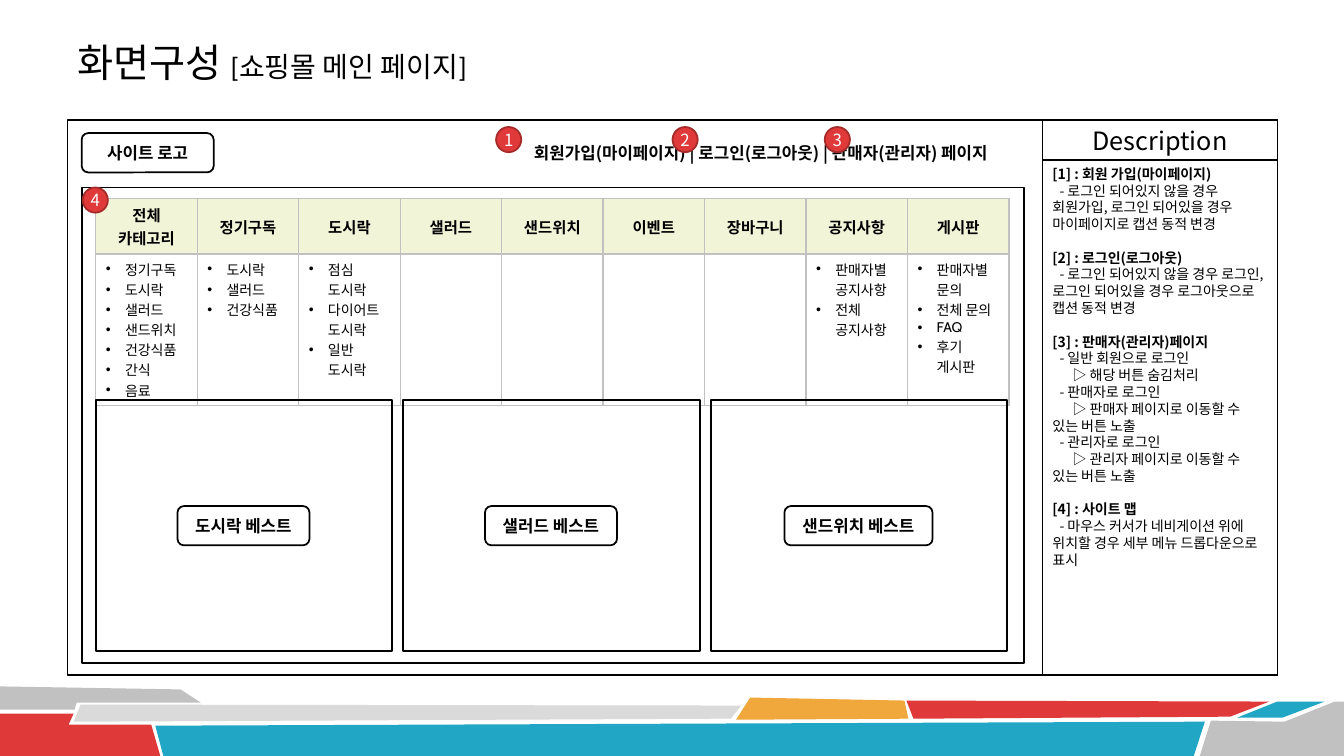
import pptx
import pptx.dml.color
import pptx.enum.shapes
import pptx.enum.text
import pptx.oxml
import pptx.oxml.ns
import pptx.util
from pptx.util import Inches

SHAPES = pptx.enum.shapes.MSO_SHAPE
ALIGN = pptx.enum.text.PP_ALIGN
ANCHOR = pptx.enum.text.MSO_ANCHOR
KOREAN = "Noto Sans CJK KR"
BLACK, WHITE, RED, BLUE, GREY = "000000", "FFFFFF", "DF3939", "21A6C5", "C1C1C1"


def color(value):
    return pptx.dml.color.RGBColor.from_string(value)


def element(xml):
    return pptx.oxml.parse_xml(xml.replace(" ", f' {pptx.oxml.ns.nsdecls("a")} ', 1))


class Wireframe:
    """Draws the wireframe elements on one slide in a shared style."""

    def __init__(self, slide):
        self.slide = slide

    def format_run(self, run, size, bold=False, ink=BLACK, font=KOREAN):
        run.font.size = pptx.util.Pt(size)
        run.font.bold = bold
        run.font.name = font
        run.font.color.rgb = color(ink)
        run.font._element.find(pptx.oxml.ns.qn("a:latin")).addnext(
            element(f'<a:ea typeface="{KOREAN}"/>'))

    def paint(self, shape, fill, line):
        shape.shadow.inherit = False
        if fill:
            shape.fill.solid()
            shape.fill.fore_color.rgb = color(fill)
        else:
            shape.fill.background()
        if line:
            shape.line.color.rgb = color(line)
            shape.line.width = pptx.util.Pt(1.25)
        else:
            shape.line.fill.background()

    def title(self, heading, subtitle):
        title = self.slide.shapes.title
        title.left, title.top = Inches(0.67), Inches(0.31)
        title.width, title.height = Inches(12), Inches(0.61)
        frame = title.text_frame
        frame.auto_size = pptx.enum.text.MSO_AUTO_SIZE.NONE
        frame.vertical_anchor = ANCHOR.MIDDLE
        paragraph = frame.paragraphs[0]
        paragraph.alignment = ALIGN.LEFT
        for text, size in ((heading, 28), (subtitle, 20)):
            run = paragraph.add_run()
            run.text = text
            self.format_run(run, size, font="Calibri")

    def polygon(self, points, fill):
        builder = self.slide.shapes.build_freeform(*map(Inches, points[0]), scale=1.0)
        builder.add_line_segments([(Inches(x), Inches(y)) for x, y in points[1:]])
        self.paint(builder.convert_to_shape(), fill, None)

    def box(self, kind, left, top, width, height, text="", fill=None, line=BLACK,
            size=12, bold=True, ink=BLACK):
        shape = self.slide.shapes.add_shape(
            kind, Inches(left), Inches(top), Inches(width), Inches(height))
        self.paint(shape, fill, line)
        if text:
            frame = shape.text_frame
            frame.text = text
            frame.word_wrap = False
            frame.vertical_anchor = ANCHOR.MIDDLE
            frame.paragraphs[0].alignment = ALIGN.CENTER
            self.format_run(frame.paragraphs[0].runs[0], size, bold, ink)
        return shape

    def label(self, left, top, width, text, line=BLACK):
        self.box(SHAPES.ROUNDED_RECTANGLE, left, top, width, 0.39, text, WHITE, line)

    def badge(self, left, top, number):
        shape = self.box(SHAPES.OVAL, left, top, 0.25, 0.25, str(number), RED, "A52A2A",
                         bold=False, ink=WHITE)
        frame = shape.text_frame
        frame.margin_left = frame.margin_right = frame.margin_top = frame.margin_bottom = 0

    def description(self, left, top, width, height, sections):
        frame = self.box(SHAPES.RECTANGLE, left, top, width, height).text_frame
        frame.word_wrap = True
        frame.vertical_anchor = ANCHOR.TOP
        lines = [line for section in sections for line in section]
        frame.text = "\n".join(lines)
        for index, paragraph in enumerate(frame.paragraphs):
            text = paragraph.text
            heading = text.startswith("[")
            paragraph.alignment = ALIGN.LEFT
            paragraph.line_spacing = pptx.util.Pt(12)
            paragraph.space_before = pptx.util.Pt(12 if heading and index else 0)
            indent = 0 if heading else 0.2 if text.startswith("▷") else 0.07
            paragraph._p.get_or_add_pPr().set("indent", str(Inches(indent)))
            self.format_run(paragraph.runs[0], 10, heading)

    def border(self, cell, edges):
        properties = cell._tc.get_or_add_tcPr()
        for index, (edge, points) in enumerate(edges.items()):
            properties.insert(index, element(
                f'<a:{edge} w="{pptx.util.Pt(points)}"><a:solidFill>'
                f'<a:srgbClr val="{GREY}"/></a:solidFill></a:{edge}>'))

    def bullet(self, paragraph):
        properties = paragraph._p.get_or_add_pPr()
        properties.set("marL", str(Inches(0.19)))
        properties.set("indent", str(Inches(-0.19)))
        properties.append(element('<a:buFont typeface="Arial"/>'))
        properties.append(element('<a:buChar char="•"/>'))

    def menu(self, left, top, width, heights, columns):
        table = self.slide.shapes.add_table(
            2, len(columns), Inches(left), Inches(top), Inches(width),
            Inches(sum(heights))).table
        table.first_row = table.horz_banding = False
        for row, height in zip(table.rows, heights):
            row.height = Inches(height)
        for index, (heading, items) in enumerate(columns):
            table.columns[index].width = Inches(width / len(columns))
            header, body = table.cell(0, index), table.cell(1, index)
            header.fill.solid()
            header.fill.fore_color.rgb = color("F2F4D7")
            header.vertical_anchor = ANCHOR.MIDDLE
            header.text_frame.text = heading
            for paragraph in header.text_frame.paragraphs:
                paragraph.alignment = ALIGN.CENTER
                self.format_run(paragraph.runs[0], 11, True, font="Cabin")
            self.border(header, {"lnL": 1, "lnR": 1, "lnT": 1, "lnB": 2})
            body.fill.background()
            self.border(body, {"lnL": 1, "lnR": 1, "lnT": 2, "lnB": 1})
            if items:
                body.text_frame.text = "\n".join(items)
                for paragraph in body.text_frame.paragraphs:
                    self.bullet(paragraph)
                    self.format_run(paragraph.runs[0], 10, font="Cabin")


RIBBONS = [
    (GREY, [(0, 6.81), (1.79, 6.84), (1.99, 6.97), (0.76, 6.97), (0.74, 7.04), (0, 7.04)]),
    (RED, [(0, 7.08), (0.73, 7.08), (0.68, 7.19), (1.5, 7.19), (1.59, 7.5), (0, 7.5)]),
    ("DADADA", [(0.8, 6.99), (7.35, 7), (7.25, 7.13), (0.73, 7.16)]),
    (BLUE, [(1.54, 7.2), (11.95, 7.16), (11.84, 7.5), (1.62, 7.5)]),
    ("F0A73C", [(7.44, 6.92), (8.97, 6.95), (9.01, 7.13), (7.3, 7.14)]),
    (RED, [(8.99, 6.95), (12.59, 6.96), (12.2, 7.11), (9.06, 7.13)]),
    (BLUE, [(12.67, 6.96), (13.14, 6.96), (12.72, 7.12), (12.27, 7.12)]),
    (GREY, [(12.01, 7.15), (12.74, 7.16), (13.24, 6.96), (13.33, 6.96), (13.33, 7.5),
            (11.9, 7.5)]),
]
DESCRIPTION = [
    ["[1] : 회원 가입(마이페이지)",
     "- 로그인 되어있지 않을 경우 회원가입, 로그인 되어있을 경우 마이페이지로 캡션 동적 변경"],
    ["[2] : 로그인(로그아웃)",
     "- 로그인 되어있지 않을 경우 로그인, 로그인 되어있을 경우 로그아웃으로 캡션 동적 변경"],
    ["[3] : 판매자(관리자)페이지",
     "- 일반 회원으로 로그인", "▷ 해당 버튼 숨김처리",
     "- 판매자로 로그인", "▷ 판매자 페이지로 이동할 수 있는 버튼 노출",
     "- 관리자로 로그인", "▷ 관리자 페이지로 이동할 수 있는 버튼 노출"],
    ["[4] : 사이트 맵",
     "- 마우스 커서가 네비게이션 위에 위치할 경우 세부 메뉴 드롭다운으로 표시"],
]
MENU = [
    ("전체\n카테고리", ["정기구독", "도시락", "샐러드", "샌드위치", "건강식품", "간식", "음료"]),
    ("정기구독", ["도시락", "샐러드", "건강식품"]),
    ("도시락", ["점심 도시락", "다이어트 도시락", "일반 도시락"]),
    ("샐러드", []), ("샌드위치", []), ("이벤트", []), ("장바구니", []),
    ("공지사항", ["판매자별 공지사항", "전체 공지사항"]),
    ("게시판", ["판매자별 문의", "전체 문의", "FAQ", "후기 게시판"]),
]
BESTS = [("도시락 베스트", 1.76, 1.31), ("샐러드 베스트", 4.81, 1.31), ("샌드위치 베스트", 7.78, 1.47)]
BADGES = [(4.92, 1.26), (6.67, 1.26), (8.18, 1.26), (0.82, 1.86)]


def main():
    presentation = pptx.Presentation()
    presentation.slide_width, presentation.slide_height = Inches(13.33), Inches(7.5)
    page = Wireframe(presentation.slides.add_slide(presentation.slide_layouts[5]))
    for fill, points in RIBBONS:
        page.polygon(points, fill)
    page.box(SHAPES.RECTANGLE, 0.67, 1.19, 12, 5.51, fill=WHITE)
    page.title("화면구성 ", "[쇼핑몰 메인 페이지]")
    page.description(10.34, 1.59, 2.33, 5.11, DESCRIPTION)
    page.box(SHAPES.RECTANGLE, 10.34, 1.19, 2.33, 0.4, "Description", size=18, bold=False)
    page.label(0.81, 1.32, 1.31, "사이트 로고")
    page.box(SHAPES.RECTANGLE, 0.81, 1.86, 9.35, 4.72)
    page.menu(0.95, 1.97, 9.06, (0.55, 1.5), MENU)
    for index, (text, left, width) in enumerate(BESTS):
        page.box(SHAPES.RECTANGLE, 0.95 + index * 3.05, 3.97, 2.94, 2.49)
        page.label(left, 5.02, width, text)
    page.label(4.92, 1.32, 5.25, "회원가입(마이페이지) | 로그인(로그아웃) | 판매자(관리자) 페이지", None)
    for number, (left, top) in enumerate(BADGES, 1):
        page.badge(left, top, number)
    presentation.save("out.pptx")


if __name__ == "__main__":
    main()
